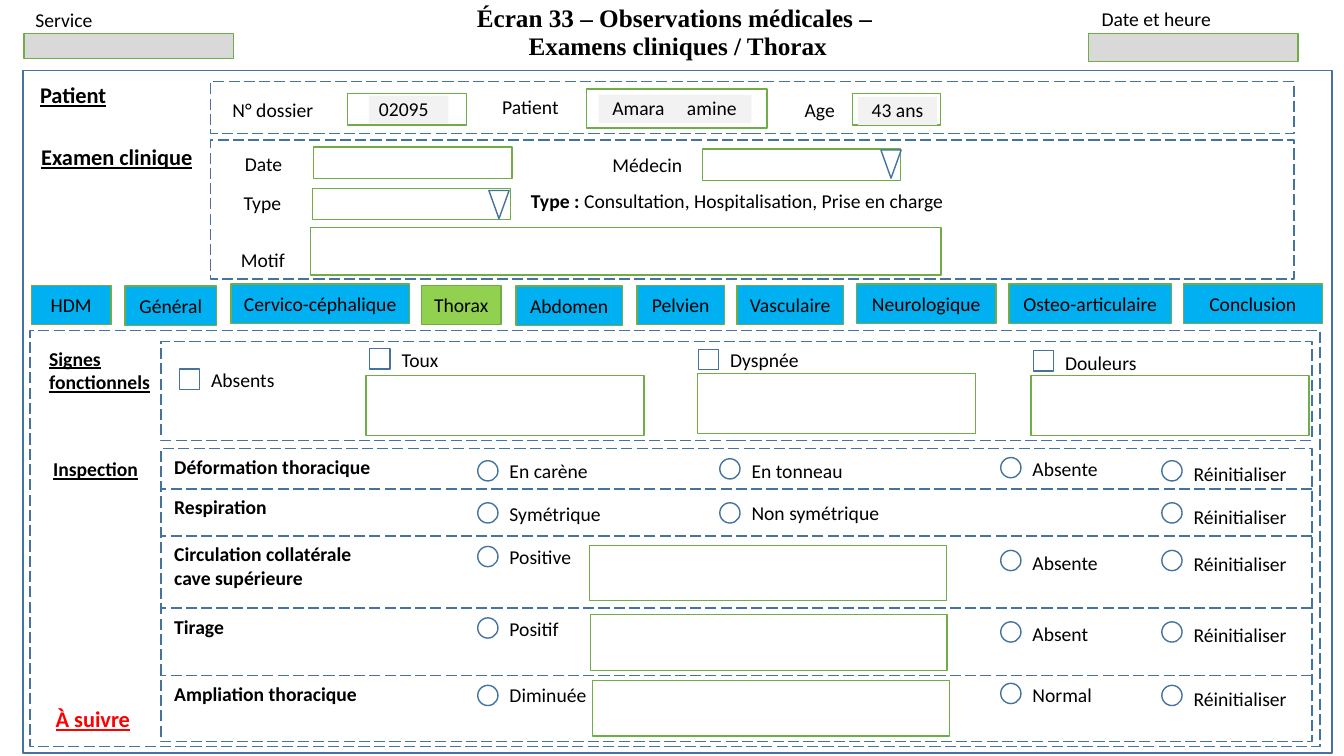
from lxml import etree
from pptx import Presentation
from pptx.dml.color import RGBColor
from pptx.enum.dml import MSO_LINE
from pptx.enum.shapes import MSO_CONNECTOR, MSO_SHAPE
from pptx.enum.text import MSO_ANCHOR, MSO_AUTO_SIZE, PP_ALIGN
from pptx.oxml.ns import qn
from pptx.util import Cm, Pt

BLACK = RGBColor(0x00, 0x00, 0x00)
RED = RGBColor(0xFF, 0x00, 0x00)
BLUE_LINE = RGBColor(0x43, 0x73, 0x9E)
GREEN_LINE = RGBColor(0x70, 0xAD, 0x47)
TAB_BLUE = RGBColor(0x00, 0xB0, 0xF0)
TAB_GREEN = RGBColor(0x92, 0xD0, 0x50)
HEADER_GREY = RGBColor(0xD9, 0xD9, 0xD9)
VALUE_GREY = RGBColor(0xF2, 0xF2, 0xF2)

RECTANGLE, CIRCLE, TRIANGLE = MSO_SHAPE.RECTANGLE, MSO_SHAPE.OVAL, MSO_SHAPE.ISOSCELES_TRIANGLE
TOP, MIDDLE, BOTTOM = MSO_ANCHOR.TOP, MSO_ANCHOR.MIDDLE, MSO_ANCHOR.BOTTOM
LEFT, CENTER = PP_ALIGN.LEFT, PP_ALIGN.CENTER
LONG_DASH = MSO_LINE.LONG_DASH

MARK_SIZE = 0.51
LABEL_HEIGHT = 0.86
TAB_HEIGHT = 0.99

# label, left, top, width
TABS = [
    ("HDM", 0.79, 7.19, 2.01), ("Général", 3.15, 7.21, 2.31),
    ("Cervico-céphalique", 5.82, 7.16, 4.5), ("Thorax", 10.62, 7.19, 2.01),
    ("Abdomen", 13, 7.21, 2.69), ("Pelvien", 16.05, 7.19, 2.21),
    ("Vasculaire", 18.57, 7.19, 2.69), ("Neurologique", 21.59, 7.16, 3.51),
    ("Osteo-articulaire", 25.43, 7.16, 4.09), ("Conclusion", 29.82, 7.16, 3.51),
]
ACTIVE_TAB = "Thorax"

# label, box left, box top, label top, line spacing, (comment field left, top)
SYMPTOMS = [
    ("Absents", 4.52, 9.3, 9.14, 1, None),
    ("Toux", 9.32, 8.79, 8.64, 1, (9.22, 9.47)),
    ("Dyspnée", 17.6, 8.81, 8.59, 1.07, (17.58, 9.42)),
    ("Douleurs", 26.04, 8.84, 8.71, 1, (25.98, 9.47)),
]

# circle left, label width
OPTION_COLUMNS = [(12.04, 3), (18.14, 3.8), (25.22, 2.3), (29.28, 3)]
RESET_COLUMN = 3
RESET = "Réinitialiser"

# finding, top, options (column, label, circle top, label top), (comment field left, top)
FINDINGS = [
    ("Déformation thoracique", 11.33,
     [(0, "En carène", 11.61, 11.43), (1, "En tonneau", 11.56, 11.43),
      (2, "Absente", 11.53, 11.38), (RESET_COLUMN, RESET, 11.61, 11.48)], None),
    ("Respiration", 12.34,
     [(0, "Symétrique", 12.67, 12.52), (1, "Non symétrique", 12.67, 12.5),
      (RESET_COLUMN, RESET, 12.67, 12.55)], None),
    ("Circulation collatérale cave supérieure", 13.54,
     [(0, "Positive", 13.77, 13.61), (2, "Absente", 13.87, 13.77),
      (RESET_COLUMN, RESET, 13.87, 13.74)], (14.86, 13.74)),
    ("Tirage", 15.37,
     [(0, "Positif", 15.57, 15.42), (2, "Absent", 15.67, 15.54),
      (RESET_COLUMN, RESET, 15.67, 15.52)], (14.88, 15.49)),
    ("Ampliation thoracique", 17.07,
     [(0, "Diminuée", 17.27, 17.09), (2, "Normal", 17.22, 17.09),
      (RESET_COLUMN, RESET, 17.27, 17.15)], (14.94, 17.15)),
]
ROW_LINES = [12.32, 13.51, 15.32, 17.02]


def add_run(paragraph, text, size=14, bold=False, underline=False, color=BLACK, font="Calibri"):
    run = paragraph.add_run()
    run.text = text
    run.font.name = font
    run.font.size = Pt(size)
    run.font.bold = bold
    run.font.underline = underline
    run.font.color.rgb = color


def add_label(slide, text, left, top, width, height=LABEL_HEIGHT, anchor=TOP,
              align=LEFT, spacing=1, **style):
    box = slide.shapes.add_textbox(Cm(left), Cm(top), Cm(width), Cm(height))
    frame = box.text_frame
    frame.word_wrap = True
    frame.vertical_anchor = anchor
    paragraph = frame.paragraphs[0]
    paragraph.alignment = align
    paragraph.line_spacing = spacing
    if text:
        add_run(paragraph, text, **style)
    return paragraph


def add_box(slide, left, top, width, height, line=GREEN_LINE, fill=None, dash=None,
            kind=RECTANGLE):
    box = slide.shapes.add_shape(kind, Cm(left), Cm(top), Cm(width), Cm(height))
    box.shadow.inherit = False
    if fill is None:
        box.fill.background()
    else:
        box.fill.solid()
        box.fill.fore_color.rgb = fill
    if line is None:
        box.line.fill.background()
    else:
        box.line.color.rgb = line
        box.line.width = Pt(1)
    if dash is not None:
        box.line.dash_style = dash
    return box


def add_filled_text(slide, text, left, top, width, height, fill, line=None, align=CENTER,
                    spacing=1, inset=0.25):
    frame = add_box(slide, left, top, width, height, line, fill).text_frame
    frame.word_wrap = True
    frame.vertical_anchor = MIDDLE
    frame.margin_left = frame.margin_right = Cm(inset)
    frame.paragraphs[0].alignment = align
    frame.paragraphs[0].line_spacing = spacing
    add_run(frame.paragraphs[0], text)


def add_dropdown(slide, left, top, arrow_left, arrow_top):
    add_box(slide, left, top, 5, 0.79)
    arrow = add_box(slide, arrow_left, arrow_top, 0.51, 0.71, BLUE_LINE, kind=TRIANGLE)
    arrow.rotation = 180


def add_row_line(slide, top):
    line = slide.shapes.add_connector(MSO_CONNECTOR.STRAIGHT, Cm(33.07), Cm(top), Cm(4.06), Cm(top))
    line.line.color.rgb = BLUE_LINE
    line.line.width = Pt(1)
    line.line.dash_style = LONG_DASH
    etree.SubElement(line._element.spPr, qn("a:effectLst"))


def add_title(slide):
    title = slide.shapes.title
    title.left, title.top, title.width, title.height = Cm(8.76), Cm(0.18), Cm(16.64), Cm(1.5)
    frame = title.text_frame
    frame.auto_size = MSO_AUTO_SIZE.NONE
    frame.vertical_anchor = BOTTOM
    lines = ("Écran 33 – Observations médicales – ", "Examens cliniques / Thorax")
    for number, text in enumerate(lines):
        paragraph = frame.add_paragraph() if number else frame.paragraphs[0]
        paragraph.alignment = CENTER
        paragraph.line_spacing = 0.95
        paragraph.space_before = Pt(0)
        add_run(paragraph, text, 18, bold=True, font="Times New Roman")


def add_patient(slide):
    add_label(slide, "Patient", 0.76, 1.8, 3, 1.22, MIDDLE, spacing=0.95,
              size=16, bold=True, underline=True)
    for text, left, top, width in (("N° dossier", 5.46, 2.24, 2.84),
                                   ("Patient ", 12.09, 2.18, 2.67), ("Age ", 19.94, 2.24, 1.55)):
        add_label(slide, text, left, top, width, 1.09, MIDDLE, CENTER, 0.95)
    for field in ((8.76, 2.36, 3, 0.79), (14.78, 2.24, 4.55, 0.99), (21.49, 2.36, 2.21, 0.79)):
        add_box(slide, *field)
    for text, left, top, align in (("02095", 9.3, 2.41, LEFT), ("Amara", 15.09, 2.39, CENTER),
                                   ("amine", 16.94, 2.39, CENTER), ("43 ans", 21.62, 2.44, CENTER)):
        add_filled_text(slide, text, left, top, 2, 0.71, VALUE_GREY, align=align, spacing=0.95)


def add_examination(slide):
    add_label(slide, "Examen clinique", 0.79, 3.48, 4.6, 0.94, size=16, bold=True, underline=True)
    add_label(slide, "Date", 5.92, 3.61, 2, 1.07, MIDDLE, spacing=0.95)
    add_box(slide, 7.9, 3.71, 5, 0.79)
    add_label(slide, "Médecin", 14.88, 3.68, 2.87, 1.02, MIDDLE, CENTER, 0.95)
    add_dropdown(slide, 17.7, 3.76, 22.2, 3.78)
    add_label(slide, "Type", 5.89, 4.65, 2, 0.99, MIDDLE, spacing=0.95)
    add_dropdown(slide, 7.87, 4.75, 12.32, 4.8)
    type_note = add_label(slide, "", 13.13, 4.52, 11.18, 1.14, MIDDLE, spacing=0.95)
    add_run(type_note, "Type : ", bold=True)
    add_run(type_note, "Consultation, Hospitalisation, Prise en charge")
    add_label(slide, "Motif", 5.82, 6.07, 2, spacing=1.07)
    add_box(slide, 7.82, 5.74, 15.9, 1.19)


def add_symptoms(slide):
    add_label(slide, "Signes fonctionnels", 0.99, 8.61, 3.2, 1.45, bold=True, underline=True)
    for text, left, top, label_top, spacing, field in SYMPTOMS:
        add_box(slide, left, top, MARK_SIZE, MARK_SIZE, BLUE_LINE)
        add_label(slide, text, left + 0.55, label_top, 2.5, spacing=spacing)
        if field:
            add_box(slide, *field, 7.01, 1.5)


def add_findings(slide):
    add_label(slide, "Inspection", 1.09, 11.4, 2.9, bold=True, underline=True)
    for top in ROW_LINES:
        add_row_line(slide, top)
    for finding, top, options, field in FINDINGS:
        add_label(slide, finding, 4.14, top, 5.5, bold=True)
        for column, text, circle_top, label_top in options:
            left, width = OPTION_COLUMNS[column]
            add_box(slide, left, circle_top, MARK_SIZE, MARK_SIZE, BLUE_LINE, kind=CIRCLE)
            add_label(slide, text, left + 0.55, label_top, width,
                      spacing=1.07 if column == RESET_COLUMN else 1)
        if field:
            add_box(slide, *field, 8.99, 1.4)


def main():
    prs = Presentation()
    prs.slide_width, prs.slide_height = Cm(33.87), Cm(19.05)
    slide = prs.slides.add_slide(prs.slide_layouts[5])
    add_title(slide)
    add_box(slide, 0.58, 1.78, 32.99, 17.2, BLUE_LINE)
    for section in ((5.31, 2.06, 27.3, 1.3), (5.31, 3.53, 27.3, 3.5), (0.76, 8.33, 32.51, 10.49),
                    (4.06, 8.61, 29.01, 2.49), (4.06, 11.3, 29.01, 7.39)):
        add_box(slide, *section, BLUE_LINE, dash=LONG_DASH)
    add_box(slide, 0.61, 0.84, 5.28, 0.64, fill=HEADER_GREY)
    add_box(slide, 27.43, 0.84, 5.28, 0.71, fill=HEADER_GREY)
    add_label(slide, "Service", 0.64, 0.08, 3.56)
    add_label(slide, "Date et heure", 27.51, 0.05, 3.6)
    add_patient(slide)
    add_examination(slide)
    for text, left, top, width in TABS:
        fill = TAB_GREEN if text == ACTIVE_TAB else TAB_BLUE
        add_filled_text(slide, text, left, top, width, TAB_HEIGHT, fill, GREEN_LINE, inset=0.1)
    add_symptoms(slide)
    add_findings(slide)
    add_label(slide, "À suivre", 0.84, 17.68, 3, 0.91, MIDDLE, CENTER, 0.95,
              size=16, bold=True, underline=True, color=RED)
    prs.save("out.pptx")


if __name__ == "__main__":
    main()
